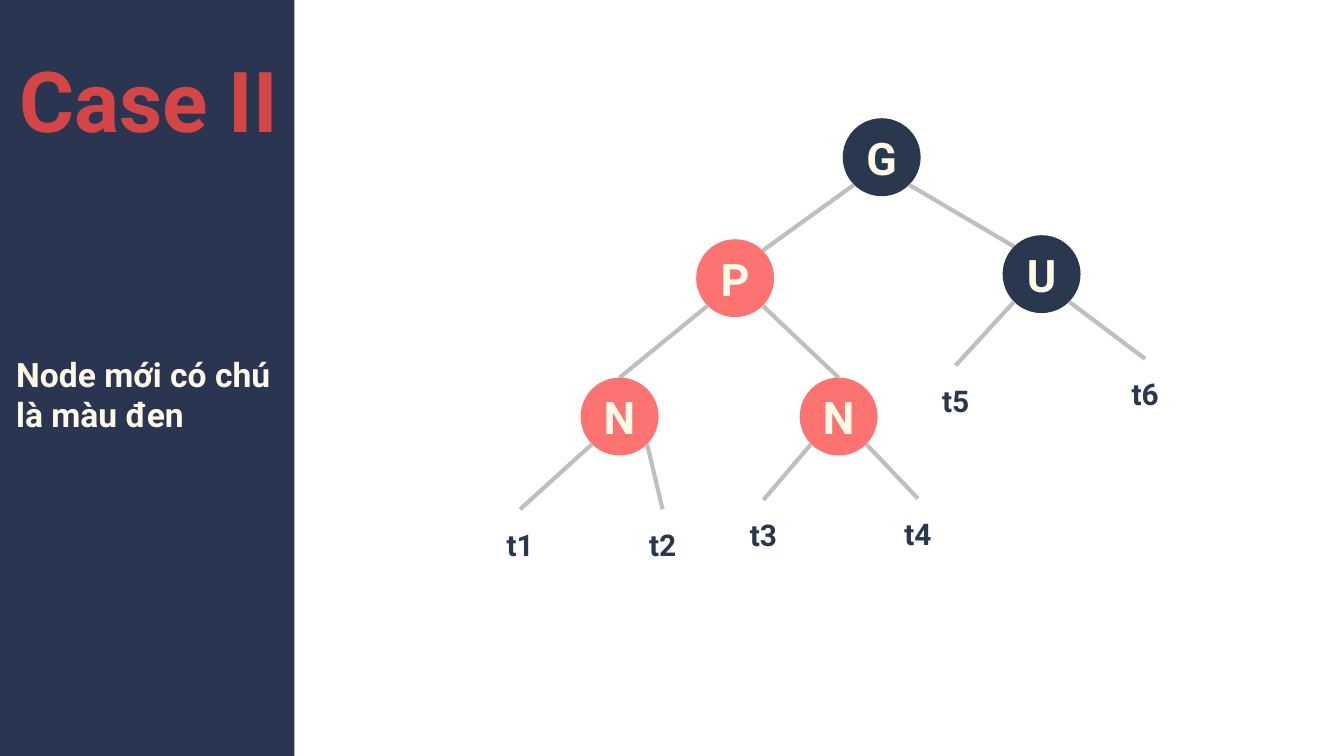
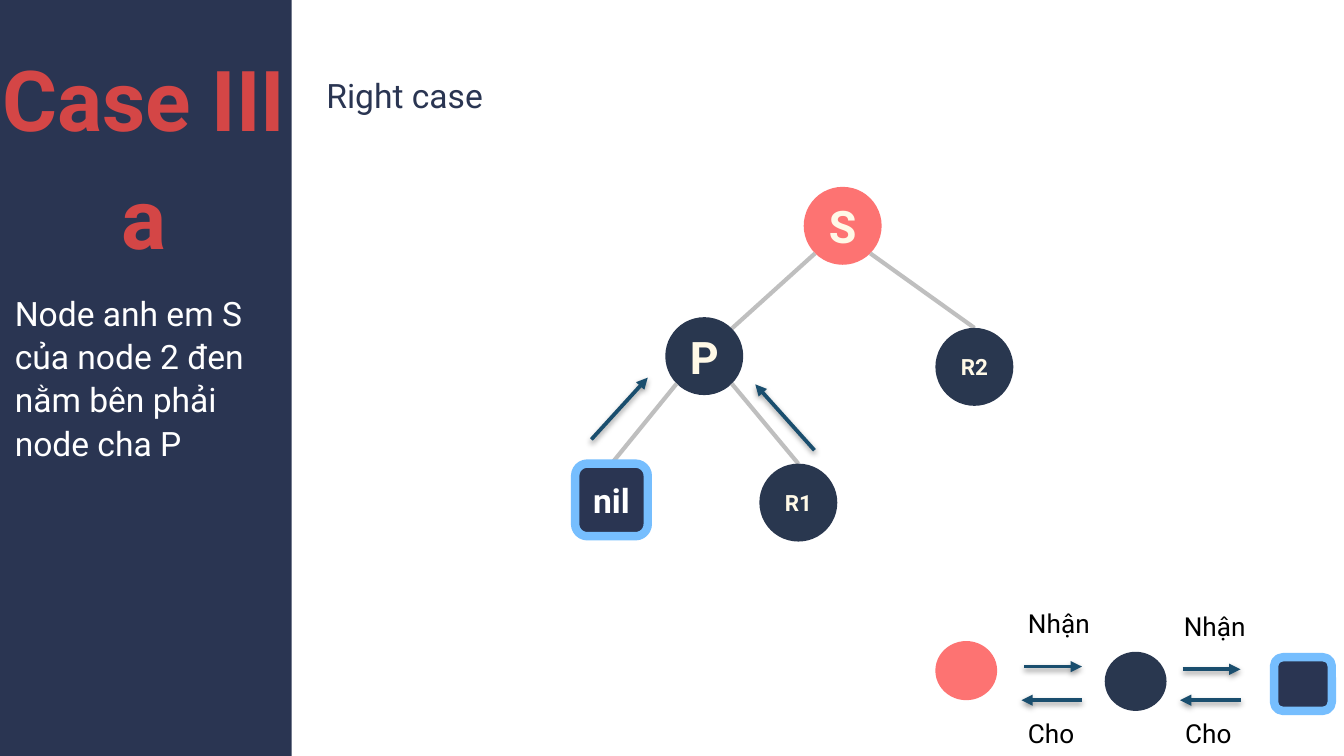
import math
import pptx
import pptx.util
import pptx.dml.color
import pptx.enum.shapes
import pptx.enum.text
import pptx.oxml.ns
from lxml import etree

Inches = pptx.util.Inches
Pt = pptx.util.Pt
SHAPE = pptx.enum.shapes.MSO_SHAPE
ALIGN = pptx.enum.text.PP_ALIGN
ANCHOR = pptx.enum.text.MSO_ANCHOR
qn = pptx.oxml.ns.qn

FONT = "Roboto"
NAVY, INK, CORAL, CREAM = "2A3552", "29374F", "FD7372", "FFF9E7"
TITLE_RED, EDGE_GREY, ARROW_BLUE, HALO = "D44646", "BFBFBF", "1A4E6E", "76BEFE"
WHITE, BLACK = "FFFFFF", "000000"

KINDS = {
    "red": (SHAPE.OVAL, 0.58, CORAL, None, CREAM, 24),
    "black": (SHAPE.OVAL, 0.58, INK, None, CREAM, 24),
    "child": (SHAPE.OVAL, 0.58, INK, None, CREAM, 12),
    "leaf": (SHAPE.ROUNDED_RECTANGLE, 0.52, None, None, INK, 16),
    "nil": (SHAPE.ROUNDED_RECTANGLE, 0.54, NAVY, HALO, WHITE, 18),
}

CASES = [
    {
        "band": (-0.01, -0.01),
        "title": (["Case II"], (0.12, 0.26, 1.97, 0.82), ANCHOR.MIDDLE),
        "body": ("Node mới có chú là màu đen", (0.12, 2.63, 1.97, 0.61), CREAM, True, 1.0),
        "nodes": {
            "G": ("G", "black", 6.27, 0.88),
            "P": ("P", "red", 5.18, 1.78),
            "U": ("U", "black", 7.46, 1.75),
            "N left": ("N", "red", 4.32, 2.81),
            "N right": ("N", "red", 5.95, 2.81),
            "t1": ("t1", "leaf", 3.61, 3.79),
            "t2": ("t2", "leaf", 4.67, 3.79),
            "t3": ("t3", "leaf", 5.42, 3.72),
            "t4": ("t4", "leaf", 6.57, 3.71),
            "t5": ("t5", "leaf", 6.85, 2.72),
            "t6": ("t6", "leaf", 8.26, 2.67),
        },
        "edges": [
            ("G", "P", "corner"), ("G", "U", "corner"),
            ("P", "N left", "top"), ("P", "N right", "top"),
            ("U", "t5", "top"), ("U", "t6", "top"),
            ("N left", "t1", "top"), ("N left", "t2", "top"),
            ("N right", "t3", "top"), ("N right", "t4", "top"),
        ],
        "legend": [], "arrows": [], "labels": [],
    },
    {
        "band": (-0.03, 0),
        "title": (["Case III", "a"], (-0.03, 0.23, 2.2, 1.7), ANCHOR.TOP),
        "body": ("Node anh em S của node 2 đen nằm bên phải node cha P",
                 (0.11, 2.16, 1.97, 1.28), WHITE, False, 1.07),
        "nodes": {
            "S": ("S", "red", 5.98, 1.39),
            "P": ("P", "black", 4.95, 2.36),
            "R2": ("R2", "child", 6.96, 2.44),
            "nil": ("nil", "nil", 4.28, 3.45),
            "R1": ("R1", "child", 5.65, 3.45),
        },
        "edges": [
            ("S", "P", "corner"), ("S", "R2", "top"),
            ("P", "nil", "top"), ("P", "R1", "top"),
        ],
        "legend": [
            ("red", 6.96, 4.77, 0.46, 0.44),
            ("black", 8.22, 4.85, 0.46, 0.44),
            ("nil", 9.48, 4.89, 0.43, 0.4),
        ],
        "arrows": [
            (4.4, 3.27, 4.82, 2.81), (6.06, 3.35, 5.62, 2.86),
            (7.62, 4.96, 8.05, 4.96), (8.05, 5.21, 7.6, 5.21),
            (8.8, 4.98, 9.23, 4.98), (9.23, 5.21, 8.78, 5.21),
        ],
        "labels": [
            ("Right case", (2.33, 0.51, 1.95, 0.4), 18, NAVY),
            ("Nhận", (7.55, 4.47, 0.75, 0.34), 14, BLACK),
            ("Nhận", (8.71, 4.49, 0.75, 0.34), 14, BLACK),
            ("Cho", (7.55, 5.29, 1, 0.34), 14, BLACK),
            ("Cho", (8.72, 5.29, 1, 0.34), 14, BLACK),
        ],
    },
]


def rgb(color):
    return pptx.dml.color.RGBColor.from_string(color)


def add_run(paragraph, text, size, color, bold):
    run = paragraph.add_run()
    run.text = text
    run.font.name = FONT
    run.font.size = Pt(size)
    run.font.bold = bold
    run.font.color.rgb = rgb(color)


def clear_insets(frame):
    frame.margin_left = frame.margin_right = 0
    frame.margin_top = frame.margin_bottom = 0


def fill_placeholder(holder, lines, box, size, color, bold, align, anchor, spacing):
    holder.left, holder.top, holder.width, holder.height = map(Inches, box)
    frame = holder.text_frame
    clear_insets(frame)
    frame.word_wrap = True
    frame.vertical_anchor = anchor
    frame.auto_size = pptx.enum.text.MSO_AUTO_SIZE.SHAPE_TO_FIT_TEXT
    for index, line in enumerate(lines):
        paragraph = frame.add_paragraph() if index else frame.paragraphs[0]
        properties = paragraph._p.get_or_add_pPr()
        properties.set("marL", "0")
        properties.set("indent", "0")
        etree.SubElement(properties, qn("a:buNone"))
        paragraph.alignment = align
        paragraph.space_before = Pt(0)
        paragraph.line_spacing = spacing
        add_run(paragraph, line, size, color, bold)


def add_block(slide, outline, box, fill, border=None):
    block = slide.shapes.add_shape(outline, *map(Inches, box))
    block.shadow.inherit = False
    if fill:
        block.fill.solid()
        block.fill.fore_color.rgb = rgb(fill)
    else:
        block.fill.background()
    if border:
        block.line.color.rgb = rgb(border)
        block.line.width = Pt(4.5)
    else:
        block.line.fill.background()
    return block


def add_node(slide, label, kind, left, top):
    outline, side, fill, border, color, size = KINDS[kind]
    node = add_block(slide, outline, (left, top, side, side), fill, border)
    frame = node.text_frame
    clear_insets(frame)
    frame.word_wrap = False
    frame.vertical_anchor = ANCHOR.MIDDLE
    frame.paragraphs[0].alignment = ALIGN.CENTER
    add_run(frame.paragraphs[0], label, size, color, True)
    return node


def add_line(slide, ends, color, width):
    line = slide.shapes.add_connector(pptx.enum.shapes.MSO_CONNECTOR.STRAIGHT, *ends)
    line.line.color.rgb = rgb(color)
    line.line.width = Pt(width)
    return line, etree.SubElement(line._element.spPr, qn("a:effectLst"))


def corner(node, across, down):
    reach = node.width / 2 * math.sqrt(0.5)
    return (round(node.left + node.width / 2 + across * reach),
            round(node.top + node.height / 2 + down * reach))


def add_edge(slide, parent, child, target):
    side = 1 if child.left > parent.left else -1
    ends = corner(parent, side, 1) + corner(child, -side, -1)
    edge, _ = add_line(slide, ends, EDGE_GREY, 2.25)
    if target == "top":
        edge.end_connect(child, 0)
    child._element.addprevious(edge._element)


def add_arrow(slide, ends):
    arrow, effects = add_line(slide, map(Inches, ends), ARROW_BLUE, 2)
    etree.SubElement(arrow.line._get_or_add_ln(), qn("a:tailEnd"), type="triangle")
    shadow = etree.SubElement(effects, qn("a:outerShdw"), blurRad=str(Pt(3.1)),
                              dist=str(Pt(1.6)), dir="5400000", rotWithShape="0")
    shade = etree.SubElement(shadow, qn("a:srgbClr"), val=BLACK)
    etree.SubElement(shade, qn("a:alpha"), val="38000")


def add_label(slide, text, box, size, color):
    label = slide.shapes.add_textbox(*map(Inches, box))
    label.text_frame.word_wrap = True
    add_run(label.text_frame.paragraphs[0], text, size, color, False)


def build_case(deck, case):
    slide = deck.slides.add_slide(deck.slide_layouts[1])
    title, body = slide.placeholders
    band = add_block(slide, SHAPE.RECTANGLE, (*case["band"], 2.2, 5.67), NAVY)
    title._element.addprevious(band._element)

    lines, box, anchor = case["title"]
    fill_placeholder(title, lines, box, 45, TITLE_RED, True, ALIGN.CENTER, anchor, Pt(63))
    text, box, color, bold, spacing = case["body"]
    fill_placeholder(body, [text], box, 18, color, bold, ALIGN.LEFT, ANCHOR.TOP, spacing)

    nodes = {key: add_node(slide, *node) for key, node in case["nodes"].items()}
    for parent, child, target in case["edges"]:
        add_edge(slide, nodes[parent], nodes[child], target)
    for kind, *box in case["legend"]:
        outline, _, fill, border, *_ = KINDS[kind]
        add_block(slide, outline, box, fill, border)
    for ends in case["arrows"]:
        add_arrow(slide, ends)
    for label in case["labels"]:
        add_label(slide, *label)


def main():
    deck = pptx.Presentation()
    deck.slide_width = Inches(10)
    deck.slide_height = deck.slide_width * 9 // 16
    for case in CASES:
        build_case(deck, case)
    deck.save("out.pptx")


if __name__ == "__main__":
    main()
